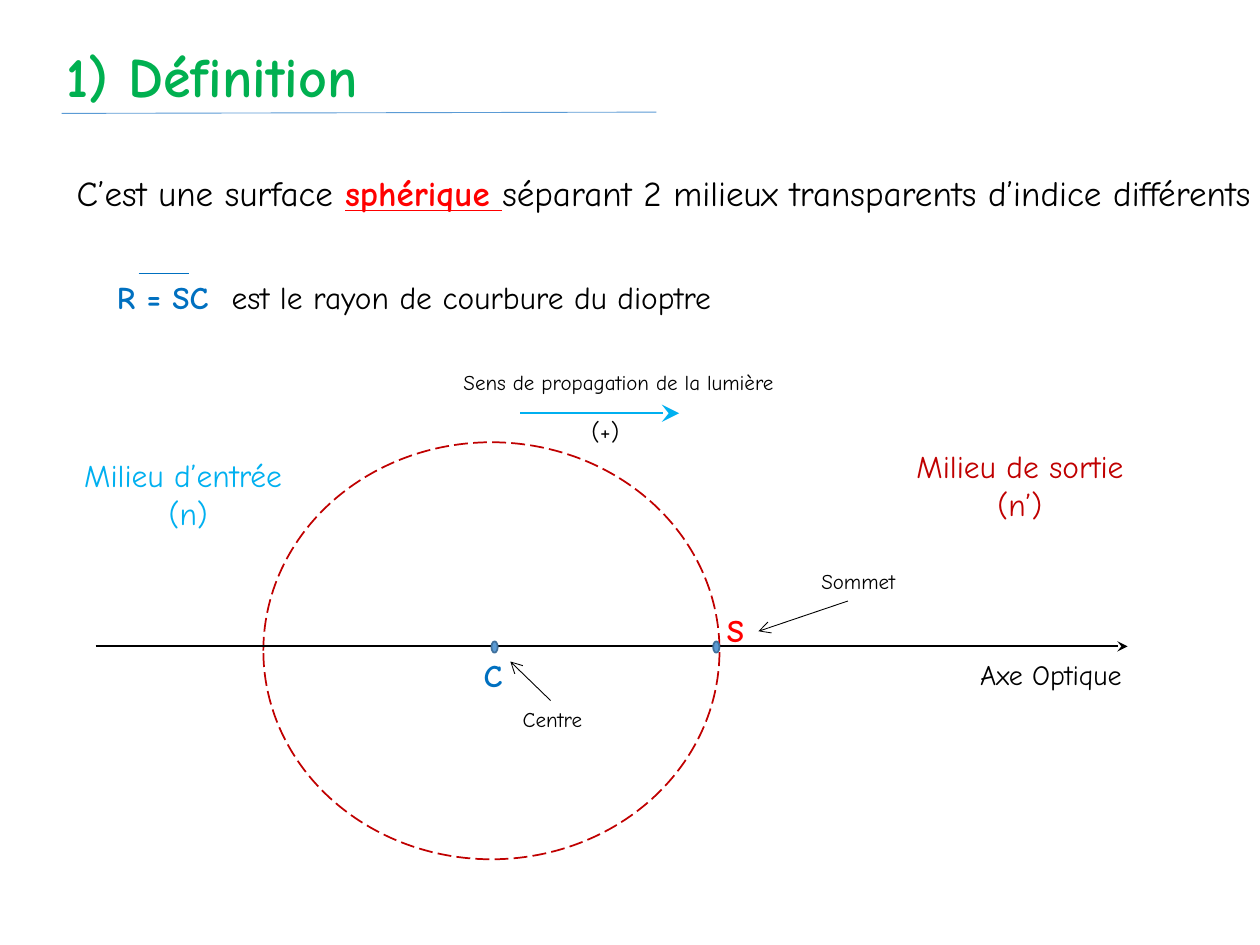
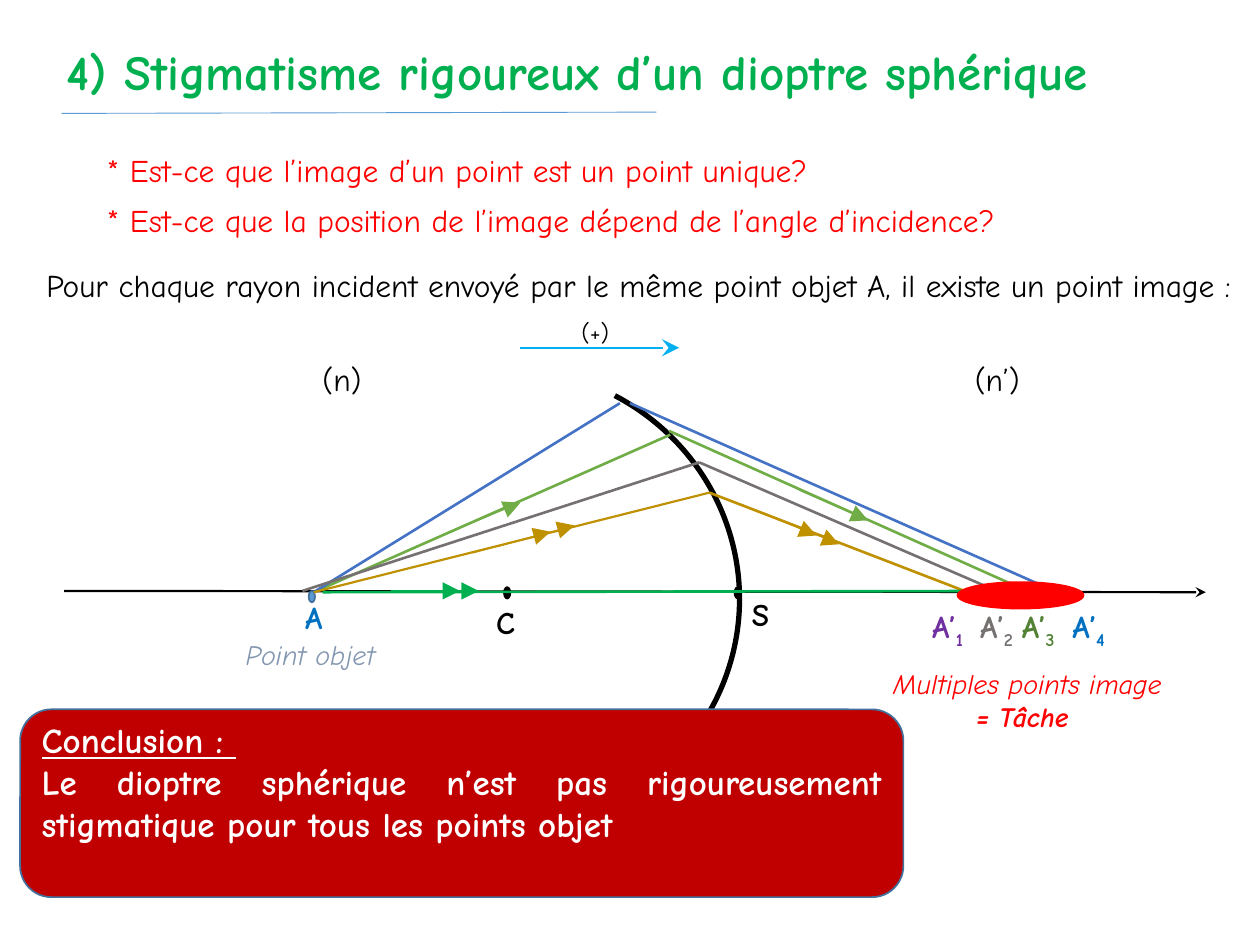
import pptx
import pptx.util
import pptx.dml.color
import pptx.enum.dml
import pptx.enum.shapes
import pptx.enum.text
import pptx.oxml.ns
from lxml import etree

Inches = pptx.util.Inches
RGBColor = pptx.dml.color.RGBColor
ALIGN = pptx.enum.text.PP_ALIGN
SHAPE = pptx.enum.shapes.MSO_SHAPE
qn = pptx.oxml.ns.qn

BLACK = RGBColor(0x00, 0x00, 0x00)
WHITE = RGBColor(0xFF, 0xFF, 0xFF)
RED = RGBColor(0xFF, 0x00, 0x00)
DARK_RED = RGBColor(0xC0, 0x00, 0x00)
GREEN = RGBColor(0x00, 0xB0, 0x50)
SKY = RGBColor(0x00, 0xB0, 0xF0)
BLUE = RGBColor(0x00, 0x70, 0xC0)
PALE_BLUE = RGBColor(0x5B, 0x9B, 0xD5)
OUTLINE_BLUE = RGBColor(0x41, 0x71, 0x9C)
SLATE = RGBColor(0x84, 0x97, 0xB0)
PURPLE = RGBColor(0x70, 0x30, 0xA0)
LEAF = RGBColor(0x54, 0x82, 0x35)
RAY_BLUE = RGBColor(0x44, 0x72, 0xC4)
RAY_GREEN = RGBColor(0x70, 0xAD, 0x47)
RAY_GRAY = RGBColor(0x76, 0x71, 0x71)
RAY_GOLD = RGBColor(0xBF, 0x90, 0x00)


class Lesson:
    FONT = "Comic Neue"

    def __init__(self):
        self.deck = pptx.Presentation()
        self.deck.slide_width = Inches(10)
        self.deck.slide_height = Inches(7.5)

    def new_slide(self, title, size):
        self.slide = self.deck.slides.add_slide(self.deck.slide_layouts[6])
        self.text((0.43, 0.28, 9.33, 0.64), title, size=size, color=GREEN, bold=True)
        self.line((0.49, 0.9), (5.21, 0.89), PALE_BLUE, 0.5)

    def fill_frame(self, frame, paragraphs, align=ALIGN.LEFT, **base):
        """Fill a frame; a paragraph is a string or a list of (text, format changes)."""
        frame.word_wrap = True
        for index, content in enumerate(paragraphs):
            paragraph = frame.paragraphs[0] if index == 0 else frame.add_paragraph()
            paragraph.alignment = align
            runs = [(content, {})] if isinstance(content, str) else content
            for words, changes in runs:
                run = paragraph.add_run()
                run.text = words
                self.format_run(run, **{**base, **changes})

    def format_run(self, run, size, color, baseline=None, **values):
        run.font.color.rgb = color
        values.update(name=self.FONT, size=pptx.util.Pt(size))
        for name, value in values.items():
            setattr(run.font, name, value)
        if baseline:
            run._r.get_or_add_rPr().set("baseline", str(baseline * 1000))

    def text(self, at, *paragraphs, size=18, color=BLACK, **style):
        box = self.slide.shapes.add_textbox(*map(Inches, at))
        self.fill_frame(box.text_frame, paragraphs, size=size, color=color, **style)
        return box

    def shape(self, kind, at, fill, outline, width=1):
        figure = self.slide.shapes.add_shape(kind, *map(Inches, at))
        figure.shadow.inherit = False
        if fill is None:
            figure.fill.background()
        else:
            figure.fill.solid()
            figure.fill.fore_color.rgb = fill
        figure.line.color.rgb = outline
        figure.line.width = pptx.util.Pt(width)
        return figure

    def dot(self, left, top, fill=PALE_BLUE, outline=OUTLINE_BLUE):
        self.shape(SHAPE.OVAL, (left, top, 0.05, 0.09), fill, outline)

    def line(self, start, end, color, width, head=None, head_size="med"):
        connector = self.slide.shapes.add_connector(
            pptx.enum.shapes.MSO_CONNECTOR.STRAIGHT, *map(Inches, start + end))
        connector.line.color.rgb = color
        connector.line.width = pptx.util.Pt(width)
        if head:
            outline = connector._element.spPr.find(qn("a:ln"))
            etree.SubElement(outline, qn("a:tailEnd"),
                             type=head, w=head_size, len=head_size)
        etree.SubElement(connector._element.spPr, qn("a:effectLst"))

    def light_direction(self, y, sign_top, sign_left):
        self.line((4.13, y), (5.39, y), SKY, 1, "stealth", "lg")
        self.text((sign_left, sign_top, 2.13, 0.34), "(+)", size=14, align=ALIGN.CENTER)


def add_definition(lesson):
    lesson.new_slide("1) Définition", 32)
    lesson.text((0.51, 1.31, 9.69, 0.44), [
        ("C’est une surface ", {}),
        ("sphérique ", {"color": RED, "bold": True, "underline": True}),
        ("séparant 2 milieux transparents d’indice différents", {})], size=20)

    radius = lesson.text((0.83, 2.16, 5.2, 0.4), [
        ("R = SC\t", {"color": BLUE, "bold": True}),
        ("est le rayon de courbure du dioptre", {})])
    tabs = etree.SubElement(radius.text_frame.paragraphs[0]._p.get_or_add_pPr(), qn("a:tabLst"))
    etree.SubElement(tabs, qn("a:tab"), pos=str(Inches(0.91)), algn="l")
    lesson.line((1.1, 2.17), (1.5, 2.17), BLUE, 0.5)

    lesson.text((0.43, 3.57, 2.13, 0.7), "Milieu d’entrée ", "(n)",
                color=SKY, align=ALIGN.CENTER)
    lesson.text((7.03, 3.5, 2.13, 0.7), "Milieu de sortie", "(n’)",
                color=DARK_RED, align=ALIGN.CENTER)
    lesson.text((3.58, 2.88, 2.99, 0.3), "Sens de propagation de la lumière", size=12)
    lesson.light_direction(3.28, sign_top=3.25, sign_left=3.74)

    sphere = lesson.shape(SHAPE.OVAL, (2.09, 3.51, 3.62, 3.31), None, DARK_RED)
    sphere.line.dash_style = pptx.enum.dml.MSO_LINE.LONG_DASH
    lesson.line((0.76, 5.13), (8.95, 5.13), BLACK, 1.25, "stealth")
    lesson.text((7.68, 5.17, 1.89, 0.37), "Axe Optique", size=16)

    lesson.dot(5.66, 5.09)
    lesson.text((5.67, 4.8, 0.71, 0.4), "S", color=RED, bold=True)
    lesson.line((6.73, 4.77), (6.02, 5.01), BLACK, 0.5, "arrow")
    lesson.text((6.42, 4.46, 1.42, 0.3), "Sommet", size=12)

    lesson.dot(3.9, 5.09)
    lesson.text((3.74, 5.16, 0.71, 0.4), "C", color=BLUE, bold=True)
    lesson.line((4.37, 5.56), (4.05, 5.25), BLACK, 0.5, "arrow")
    lesson.text((4.05, 5.56, 1.42, 0.3), "Centre", size=12)


def add_stigmatism(lesson):
    lesson.new_slide("4) Stigmatisme rigoureux d’un dioptre sphérique", 28)
    questions = ("* Est-ce que l’image d’un point est un point unique?",
                 "* Est-ce que la position de l’image dépend de l’angle d’incidence?")
    for index, question in enumerate(questions):
        lesson.text((0.75, 1.15 + 0.4 * index, 8.74, 0.4), question, color=RED)
    lesson.text((0.27, 2.06, 9.65, 0.4), "Pour chaque rayon incident envoyé par le même "
                "point objet A, il existe un point image :")
    lesson.light_direction(2.76, sign_top=2.47, sign_left=3.66)

    for left, index_name in ((1.61, "(n)"), (6.81, "(n’)")):
        lesson.text((left, 2.81, 2.21, 0.4), index_name, align=ALIGN.CENTER)
    diopter = lesson.shape(SHAPE.ARC, (2.1, 2.92, 3.77, 3.67), None, BLACK, 3)
    # Arc angles are counted clockwise, 0.6 per degree
    diopter.adjustments[0] = 0.6 * 299
    diopter.adjustments[1] = 0.6 * 61
    lesson.line((0.51, 4.69), (9.57, 4.7), BLACK, 1.25, "stealth")
    for dot_left, label_at, name in ((5.83, (5.87, 4.67), "S"), (4, (3.84, 4.74), "C")):
        lesson.dot(dot_left, 4.66, BLACK, BLACK)
        lesson.text((*label_at, 0.74, 0.4), name, bold=True)

    lesson.dot(2.45, 4.69)
    lesson.text((1.69, 4.7, 1.6, 0.4), "A", color=BLUE, bold=True, align=ALIGN.CENTER)
    lesson.text((1.85, 5.01, 1.89, 0.37), "Point objet", size=16, color=SLATE, italic=True)

    # Colour, width, then start and end of the incident and refracted rays
    rays = (
        (RAY_GREEN, 1.5, (2.49, 4.7), (5.32, 3.45), (5.31, 3.42), (8.15, 4.69)),
        (RAY_BLUE, 1.5, (2.49, 4.7), (4.92, 3.2), (5, 3.2), (8.39, 4.7)),
        (RAY_GRAY, 1.5, (2.4, 4.69), (5.55, 3.67), (5.55, 3.67), (7.91, 4.69)),
        (RAY_GOLD, 1.25, (2.49, 4.7), (5.63, 3.91), (5.63, 3.91), (7.68, 4.7)),
    )
    for color, width, source, hit, exit_point, focus in rays:
        lesson.line(source, hit, color, width)
        lesson.line(exit_point, focus, color, 1.5)
    lesson.line((2.56, 4.7), (8.21, 4.69), GREEN, 1.5)

    ray_arrows = (
        (RAY_GREEN, 0.5, (3.58, 4.22), (4.13, 3.99)),
        (RAY_GREEN, 0.5, (6.34, 3.89), (6.89, 4.13)),
        (RAY_GOLD, 0.5, (3.75, 4.39), (4.37, 4.22)),
        (RAY_GOLD, 0.5, (3.94, 4.34), (4.56, 4.17)),
        (RAY_GOLD, 0.5, (5.88, 4), (6.48, 4.25)),
        (RAY_GOLD, 0.5, (6.06, 4.07), (6.66, 4.32)),
        (GREEN, 0.75, (3.25, 4.69), (3.8, 4.69)),
        (GREEN, 0.75, (3.1, 4.69), (3.65, 4.69)),
    )
    for color, width, start, end in ray_arrows:
        lesson.line(start, end, color, width, "triangle", "lg")

    lesson.shape(SHAPE.OVAL, (7.6, 4.62, 1, 0.21), RED, RED)
    image_points = ((7.52, PURPLE), (7.91, RAY_GRAY), (8.24, LEAF), (8.64, BLUE))
    for number, (center, color) in enumerate(image_points, start=1):
        lesson.text((center - 0.55, 4.77, 1.1, 0.44),
                    [("A’", {}), (str(number), {"baseline": -25})],
                    color=color, bold=True, align=ALIGN.CENTER)
    lesson.text((6.42, 5.24, 3.47, 0.9), "Multiples points image",
                [("= Tâche ", {"bold": True})],
                size=16, color=RED, italic=True, align=ALIGN.CENTER)

    conclusion = lesson.shape(SHAPE.ROUNDED_RECTANGLE, (0.16, 5.63, 7.01, 1.49),
                              DARK_RED, OUTLINE_BLUE)
    conclusion.text_frame.vertical_anchor = pptx.enum.text.MSO_ANCHOR.TOP
    conclusion.text_frame.margin_top = 0
    lesson.fill_frame(conclusion.text_frame, (
        [("Conclusion : ", {"underline": True})],
        "Le dioptre sphérique n’est pas rigoureusement stigmatique pour tous les points objet",
    ), size=20, color=WHITE, bold=True, align=ALIGN.JUSTIFY)


def main():
    lesson = Lesson()
    add_definition(lesson)
    add_stigmatism(lesson)
    lesson.deck.save("out.pptx")


if __name__ == "__main__":
    main()
